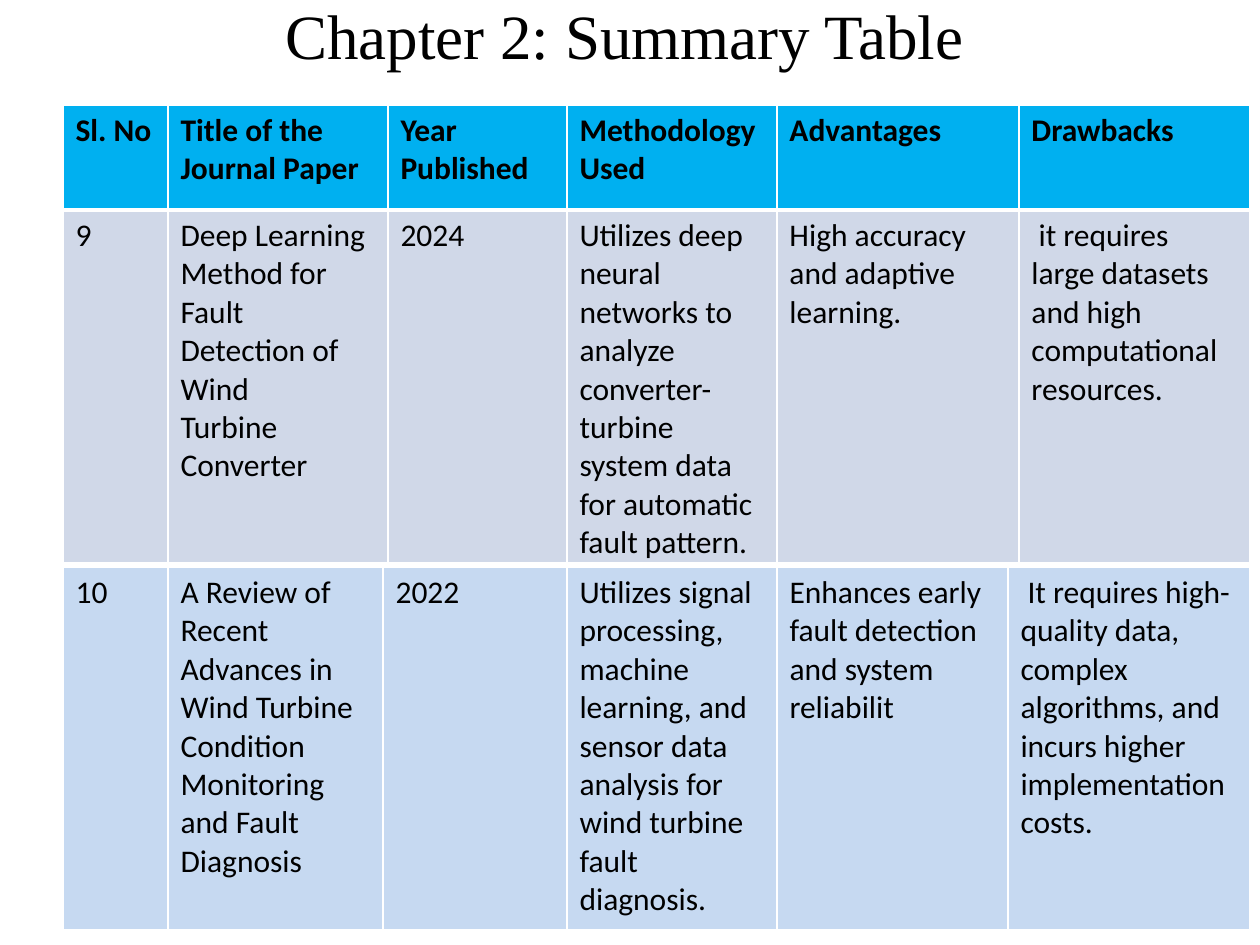
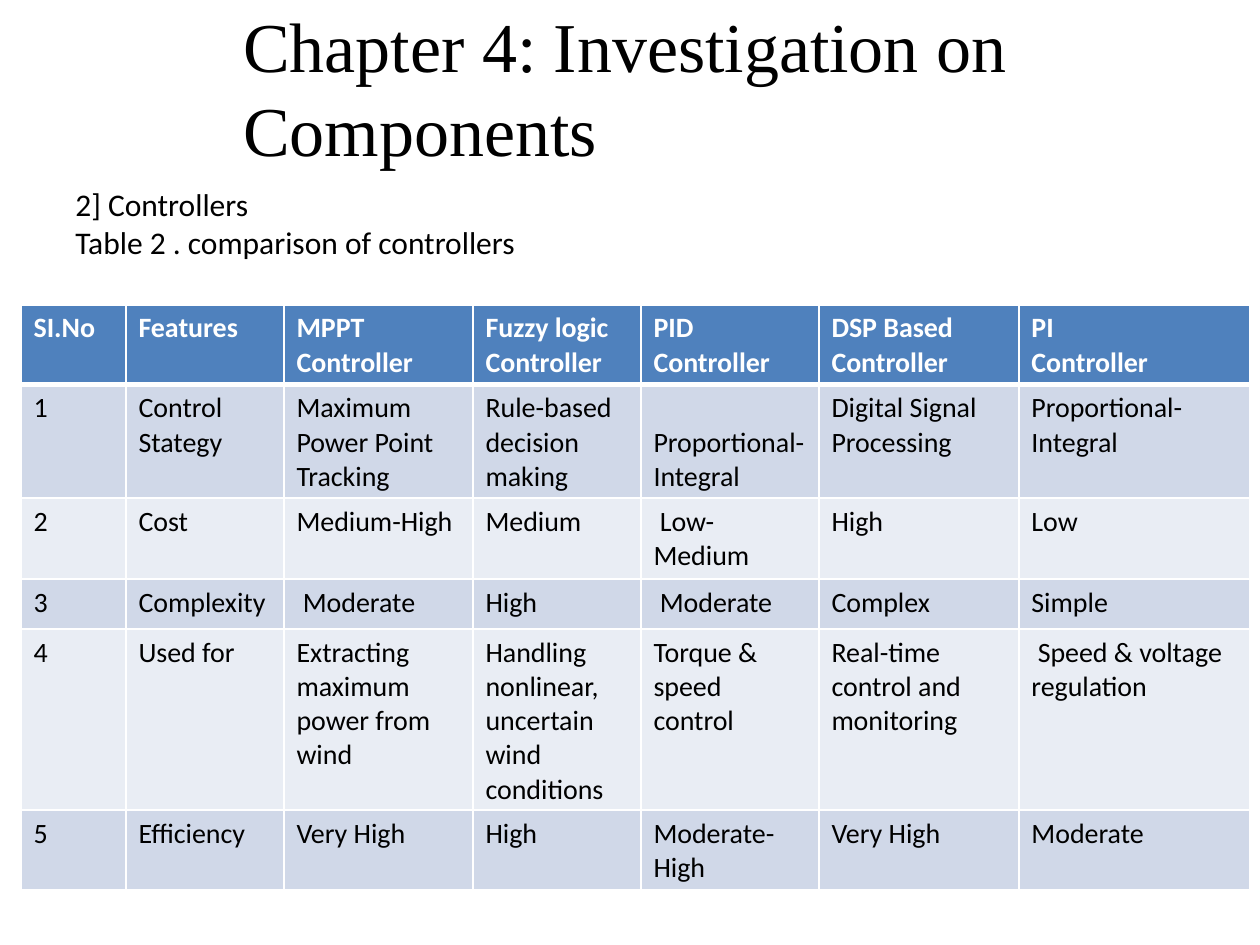
from pptx import Presentation
from pptx.dml.color import RGBColor
from pptx.enum.text import MSO_AUTO_SIZE as Auto
from pptx.oxml.ns import qn
from pptx.util import Emu, Pt
from lxml.etree import SubElement as Sub

# Shared look
SERIF, SANS = "Times New Roman", "Calibri"
BLACK, WHITE = "000000", "FFFFFF"
CYAN, BLUE = "00B0F0", "4F81BD"
MIST, PALE, SKY = "D0D8E8", "E9EDF4", "C6D9F1"


def px(n):
    return Emu(round(n * 914400 / 126))


def rgb(code):
    return RGBColor.from_string(code)


def write(frame, text, font, size, color=BLACK, bold=False):
    """Fill a text frame, one paragraph for each line."""
    for i, line in enumerate(text.split("\n")):
        para = frame.add_paragraph() if i else frame.paragraphs[0]
        run = para.add_run()
        run.text = line
        run.font.name = font
        run.font.size = Pt(size)
        run.font.bold = bold
        run.font.color.rgb = rgb(color)


def label(slide, box, text, font, size, wrap=True):
    frame = slide.shapes.add_textbox(*map(px, box)).text_frame
    frame.word_wrap = wrap
    frame.auto_size = Auto.SHAPE_TO_FIT_TEXT
    write(frame, text, font, size)


def title(slide, box, text, size, wrap=True):
    label(slide, box, text, SERIF, size, wrap)


def edge(cell, base):
    """White cell borders; base is the width of the lower one in points."""
    props = cell._tc.get_or_add_tcPr()
    for side, width in (("L", 1), ("R", 1), ("T", 1), ("B", base)):
        line = Sub(props, qn("a:ln" + side), w=str(Pt(width)))
        fill = Sub(line, qn("a:solidFill"))
        Sub(fill, qn("a:srgbClr"), val=WHITE)


def grid(slide, left, top, cols, rows, cells, fills, size, head=None):
    """Table with a fill for each row; head is the header's text colour."""
    box = (left, top, sum(cols), sum(rows))
    table = slide.shapes.add_table(len(rows), len(cols), *map(px, box)).table
    table.first_row = head is not None
    table.horz_banding = False
    for col, width in zip(table.columns, cols):
        col.width = px(width)
    for r, (row, height) in enumerate(zip(table.rows, rows)):
        row.height = px(height)
        top_row = head is not None and r == 0
        for cell, text in zip(row.cells, cells[r]):
            edge(cell, 3 if top_row else 1)
            cell.fill.solid()
            cell.fill.fore_color.rgb = rgb(fills[r])
            write(cell.text_frame, text, SANS, size,
                  head if top_row else BLACK, top_row)


# Slide 1: papers reviewed
PAPERS = [
    ["Sl. No", "Title of the Journal Paper", "Year Published",
     "Methodology Used", "Advantages", "Drawbacks"],
    ["9",
     "Deep Learning Method for Fault Detection of Wind\nTurbine Converter",
     "2024",
     "Utilizes deep neural networks to analyze converter-turbine system "
     "data for automatic fault pattern.",
     "High accuracy and adaptive learning.",
     " it requires large datasets and high computational resources."],
]
REVIEW = [
    ["10",
     "A Review of Recent Advances in Wind Turbine\n"
     "Condition Monitoring and Fault Diagnosis",
     "2022",
     "Utilizes signal processing, machine learning, and sensor data "
     "analysis for wind turbine fault diagnosis.",
     "Enhances early fault detection and system reliabilit",
     " It requires high-quality data, complex algorithms, and incurs "
     "higher implementation costs."],
]


def summary(slide):
    title(slide, (273, -10, 711, 89), "Chapter 2: Summary Table", 36, False)
    grid(slide, 63, 105, (105, 220, 179, 210, 242, 231), (105, 344),
         PAPERS, (CYAN, MIST), 18, BLACK)
    grid(slide, 63, 567, (105, 215, 184, 210, 231, 242), (363,),
         REVIEW, (SKY,), 18)


# Slide 2: controllers compared
KINDS = ("MPPT", "Fuzzy logic", "PID", "DSP Based", "PI")
TRAITS = [
    ["Control Stategy", "Maximum Power Point Tracking",
     "Rule-based decision making", " Proportional-Integral",
     "Digital Signal Processing", "Proportional-Integral"],
    ["Cost", "Medium-High", "Medium", " Low-Medium", "High", "Low"],
    ["Complexity", " Moderate", "High", " Moderate", "Complex", "Simple"],
    ["Used for", "Extracting maximum power from wind",
     "Handling nonlinear, uncertain wind conditions",
     "Torque & speed control", "Real-time control and monitoring",
     " Speed & voltage regulation"],
    ["Efficiency", "Very High", "High", "Moderate-High", "Very High",
     "Moderate"],
]


def control(slide):
    title(slide, (231, -4, 955, 183),
          "Chapter 4: Investigation on Components", 40)
    label(slide, (63, 179, 630, 89),
          "2] Controllers\nTable 2 . comparison of controllers", SANS, 18)
    head = ["SI.No", "Features"] + [kind + "\nController" for kind in KINDS]
    body = [[str(n)] + row for n, row in enumerate(TRAITS, 1)]
    fills = [BLUE] + [(MIST, PALE)[i % 2] for i in range(len(body))]
    grid(slide, 21, 305, (105, 158, 189, 168, 178, 200, 231),
         (79, 113, 81, 50, 181, 79), [head] + body, fills, 16, WHITE)


def main():
    deck = Presentation()
    deck.slide_width, deck.slide_height = px(1260), px(945)
    for build in (summary, control):
        build(deck.slides.add_slide(deck.slide_layouts[6]))
    deck.save("out.pptx")


if __name__ == "__main__":
    main()
